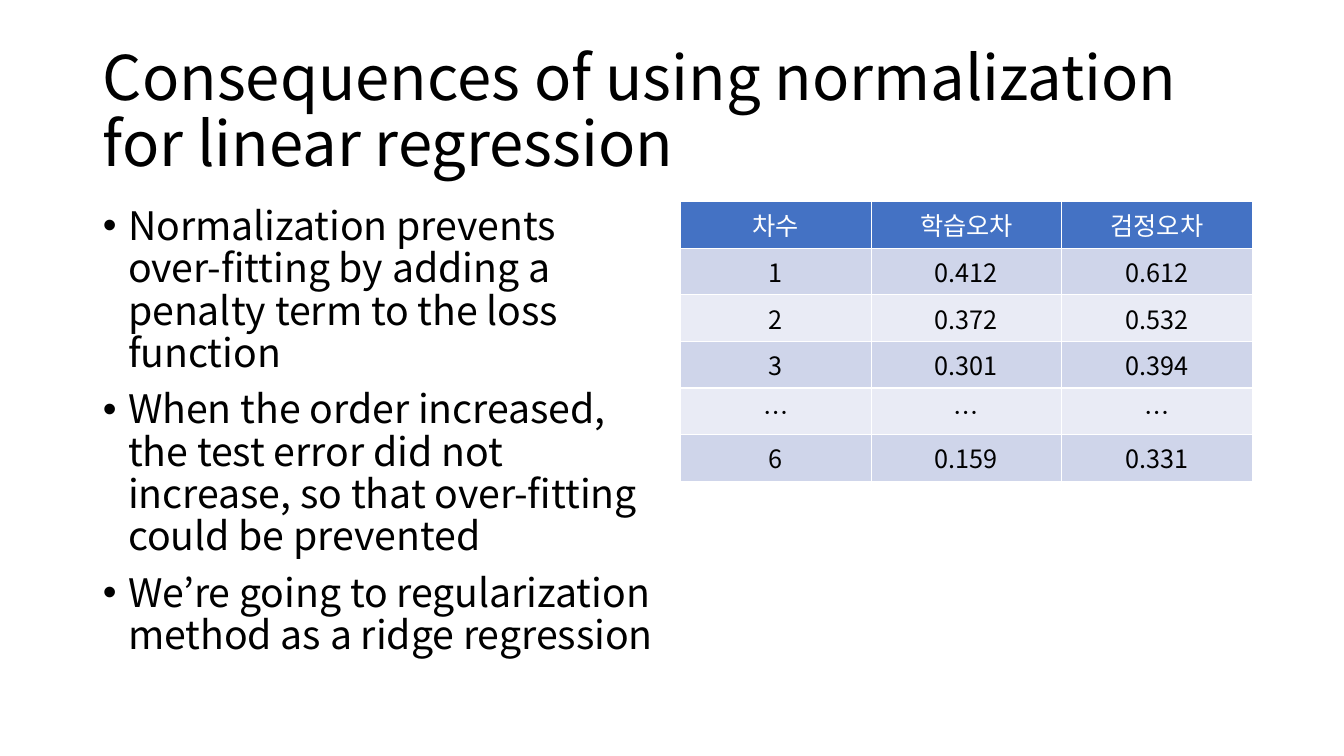
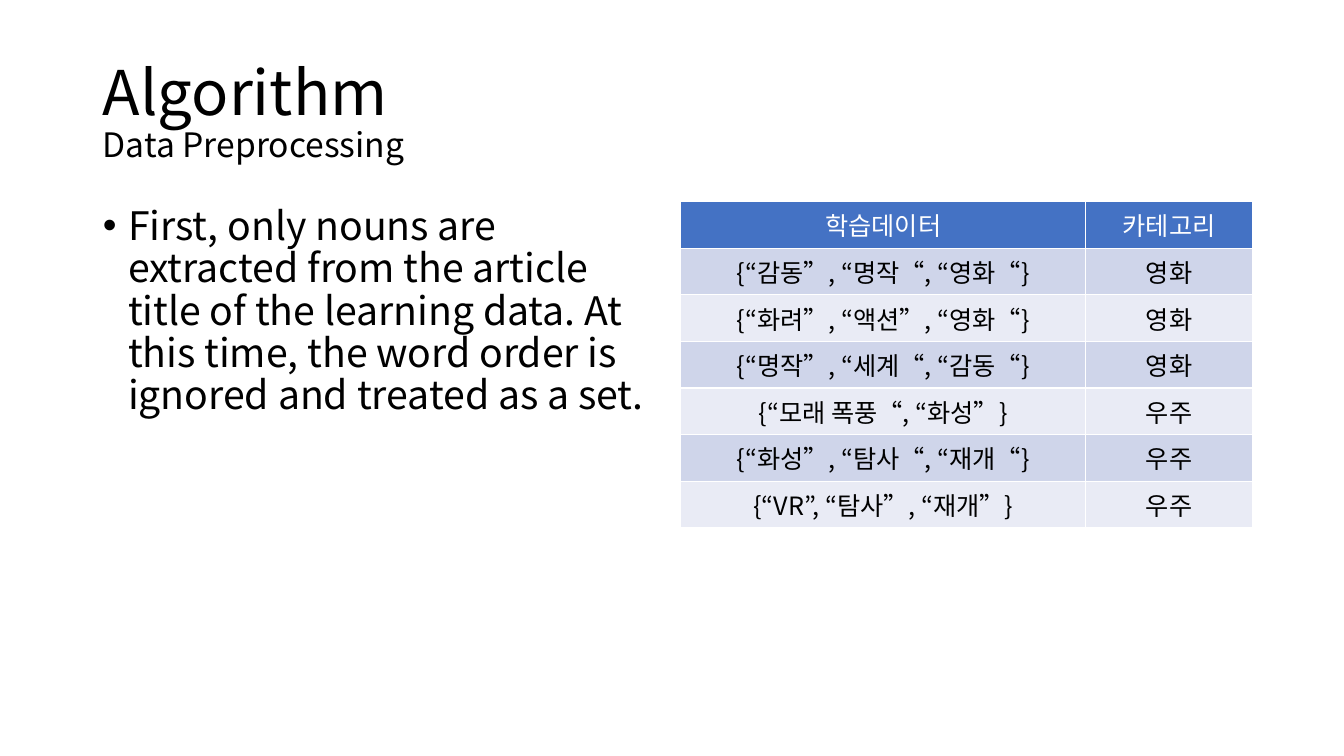
from lxml import etree
from pptx import Presentation
from pptx.dml.color import RGBColor
from pptx.enum.text import MSO_ANCHOR, MSO_AUTO_SIZE, PP_ALIGN
from pptx.oxml.ns import qn
from pptx.util import Pt

PX = 9144  # EMU per px, 100 px to the inch
FONT = "Noto Sans CJK KR"
BLACK = RGBColor(0x00, 0x00, 0x00)
WHITE = RGBColor(0xFF, 0xFF, 0xFF)
BLUE = RGBColor(0x44, 0x72, 0xC4)
BANDS = (RGBColor(0xCF, 0xD5, 0xEA), RGBColor(0xE9, 0xEB, 0xF5))
LEFT, CENTER = PP_ALIGN.LEFT, PP_ALIGN.CENTER
TOP, MIDDLE = MSO_ANCHOR.TOP, MSO_ANCHOR.MIDDLE
FIXED = MSO_AUTO_SIZE.NONE

HEAD = (92, 40, 1150, 145)
BODY = (92, 200, 567, 476)
GRID = (675, 200, 567)
ROW = 41
INDENT = 25

SLIDES = [
    {
        "title": "Consequences of using normalization for linear regression",
        "points": [
            "Normalization prevents over-fitting by adding a penalty term "
            "to the loss function",
            "When the order increased, the test error did not increase, "
            "so that over-fitting could be prevented",
            "We’re going to regularization method as a ridge regression",
        ],
        "cols": (189, 189, 189),
        "rows": [
            ("차수", "학습오차", "검정오차"),
            ("1", "0.412", "0.612"),
            ("2", "0.372", "0.532"),
            ("3", "0.301", "0.394"),
            ("…", "…", "…"),
            ("6", "0.159", "0.331"),
        ],
    },
    {
        "title": "Algorithm",
        "sub": "Data Preprocessing",
        "points": [
            "First, only nouns are extracted from the article title of the "
            "learning data. At this time, the word order is ignored and "
            "treated as a set.",
        ],
        "cols": (402, 165),
        "rows": [
            ("학습데이터", "카테고리"),
            ("{“감동”, “명작“, “영화“}", "영화"),
            ("{“화려”, “액션”, “영화“}", "영화"),
            ("{“명작”, “세계“, “감동“}", "영화"),
            ("{“모래 폭풍“, “화성”}", "우주"),
            ("{“화성”, “탐사“, “재개“}", "우주"),
            ("{“VR”, “탐사”, “재개”}", "우주"),
        ],
    },
]


def write(para, text, size=18, color=BLACK, align=LEFT, line=None, before=0):
    para.alignment = align
    para.space_before = Pt(before)
    if line:
        para.line_spacing = line
    run = para.add_run()
    run.text = text
    font = run.font
    font.size, font.name = Pt(size), FONT
    font.color.rgb = color
    east = etree.SubElement(font._element, qn("a:ea"))
    east.set("typeface", FONT)


def place(shape, box, anchor):
    """Move a placeholder to a px box and return its text frame."""
    shape.left, shape.top, shape.width, shape.height = (v * PX for v in box)
    frame = shape.text_frame
    frame.auto_size = FIXED
    frame.word_wrap = True
    frame.vertical_anchor = anchor
    return frame


def add_title(slide, box, title, sub=None):
    para = place(slide.shapes.title, box, MIDDLE).paragraphs[0]
    write(para, title, size=44, line=0.9)
    if sub:
        para.add_line_break()
        write(para, sub, size=24, line=0.9)


def add_list(slide, box, points):
    frame = place(slide.placeholders[1], box, TOP)
    for i, point in enumerate(points):
        para = frame.add_paragraph() if i else frame.paragraphs[0]
        write(para, point, size=28, line=0.9, before=10)
        props = para._p.get_or_add_pPr()
        props.set("marL", str(INDENT * PX))
        props.set("indent", str(-INDENT * PX))


def edge(cell, color=WHITE, width=1):
    """Draw the four borders of a cell, which must precede its fill."""
    props = cell._tc.get_or_add_tcPr()
    for i, side in enumerate("LRTB"):
        line = etree.Element(qn("a:ln" + side), w=str(Pt(width)))
        fill = etree.SubElement(line, qn("a:solidFill"))
        etree.SubElement(fill, qn("a:srgbClr"), val=str(color))
        props.insert(i, line)


def add_grid(slide, box, cols, rows):
    left, top, width = box
    frame = slide.shapes.add_table(
        len(rows), len(cols), left * PX, top * PX,
        width * PX, ROW * len(rows) * PX)
    table = frame.table
    for col, size in zip(table.columns, cols):
        col.width = size * PX
    for r, row in enumerate(rows):
        table.rows[r].height = ROW * PX
        for c, text in enumerate(row):
            cell = table.cell(r, c)
            cell.fill.solid()
            cell.fill.fore_color.rgb = BANDS[(r - 1) % 2] if r else BLUE
            edge(cell)
            write(cell.text_frame.paragraphs[0], text,
                  color=BLACK if r else WHITE, align=CENTER)


def main():
    deck = Presentation()
    deck.slide_width, deck.slide_height = 1333 * PX, 750 * PX
    for data in SLIDES:
        slide = deck.slides.add_slide(deck.slide_layouts[1])
        add_title(slide, HEAD, data["title"], data.get("sub"))
        add_list(slide, BODY, data["points"])
        add_grid(slide, GRID, data["cols"], data["rows"])
    deck.save("out.pptx")


if __name__ == "__main__":
    main()
